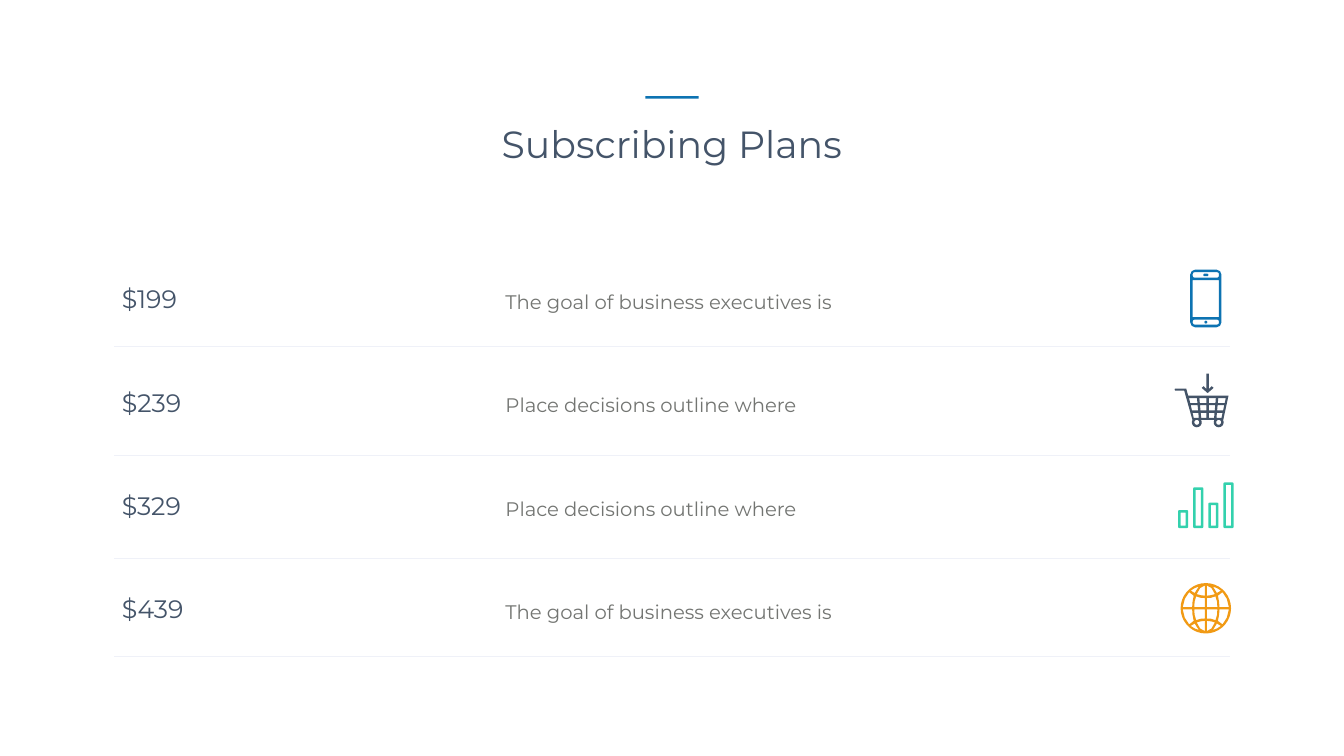
from math import cos, radians, sin

from lxml.etree import SubElement
from pptx import Presentation
from pptx.dml.color import RGBColor
from pptx.enum.shapes import MSO_CONNECTOR, MSO_SHAPE
from pptx.enum.text import MSO_AUTO_SIZE, PP_ALIGN
from pptx.oxml.ns import qn
from pptx.util import Pt

NAVY = RGBColor(0x44, 0x54, 0x69)
SLATE = RGBColor(0x44, 0x54, 0x68)
GRAY = RGBColor(0x73, 0x75, 0x72)
RULE = RGBColor(0xEF, 0xF1, 0xF8)
BLUE = RGBColor(0x0D, 0x73, 0xB2)
TEAL = RGBColor(0x33, 0xD1, 0xAD)
ORANGE = RGBColor(0xF1, 0x9A, 0x14)
FONT = "Montserrat"

TITLE = "Subscribing Plans"
PLANS = [
    ("$199", "The goal of business executives is", 494.6),
    ("$239", "Place decisions outline where", 650.2),
    ("$329", "Place decisions outline where", 797.8),
    ("$439", "The goal of business executives is", 937.9),
]
BAR_TOPS = [728.8, 696.2, 718.2, 689.2]
CART_HANDLE = [(13.7, 24.5), (0.7, 24.5), (0, 23.1), (0.7, 21.6),
               (16.6, 21.6), (19.4, 31.7), (77, 31.7), (69.5, 66.4)]
CART_ARROW = [(45.4, 0.4), (48.8, 0.4), (48.8, 22.3), (52.8, 18.2), (55.8, 20.6),
              (47.2, 28), (38.6, 20.6), (41.6, 18.2), (45.4, 22.3)]
CART_WHEELS = [63, 31.7]
CART_ROWS = [(35.3, 42.5), (45.4, 52.6), (56.2, 63.4)]
CART_BARS = [(18.5, 26), (33.5, 36.4), (47.2, 47.2), (60.8, 58), (75.2, 68.4)]
GLOBE_QUADRANT = [
    [(1.5, 1.5), (16.5, 1.5), (16, 9.5), (13.8, 17), (7.5, 15), (1.5, 14.6)],
    [(1.5, 18), (7.5, 18.7), (13, 20.2), (8, 29), (1.5, 32.5)],
    [(19.5, 1.5), (33, 1.5), (30, 13.5), (23.8, 23), (17.3, 18), (19, 9)],
    [(10, 31), (13, 26.5), (15.8, 21.8), (21.6, 25.2), (16, 28.8)],
]

SLIDE_W, SLIDE_H = 1919.52, 1080
ROW_PITCH = 147.5
RULE_LEFT, RULE_RIGHT = 163.4, 1756.1

deck = Presentation()
deck.slide_width, deck.slide_height = Pt(SLIDE_W), Pt(SLIDE_H)
slide = deck.slides.add_slide(deck.slide_layouts[6])
shapes = slide.shapes


def add_text(text, left, top, width, height, size, color,
             align=PP_ALIGN.LEFT, inset=(7.2, 3.6), spacing=1.0):
    box = shapes.add_textbox(Pt(left), Pt(top), Pt(width), Pt(height))
    frame = box.text_frame
    frame.word_wrap = True
    frame.auto_size = MSO_AUTO_SIZE.SHAPE_TO_FIT_TEXT
    frame.margin_left = frame.margin_right = Pt(inset[0])
    frame.margin_top = frame.margin_bottom = Pt(inset[1])
    paragraph = frame.paragraphs[0]
    paragraph.alignment = align
    paragraph.line_spacing = spacing
    run = paragraph.add_run()
    run.text = text
    run.font.name, run.font.size = FONT, Pt(size)
    run.font.color.rgb = color


def add_rule(y):
    rule = shapes.add_connector(MSO_CONNECTOR.STRAIGHT, Pt(RULE_LEFT), Pt(y),
                                Pt(RULE_RIGHT), Pt(y))
    rule.line.color.rgb = RULE
    rule.line.width = Pt(0.5)
    SubElement(rule._element.spPr, qn("a:effectLst"))


def paint(solid, color):
    solid.shadow.inherit = False
    solid.fill.solid()
    solid.fill.fore_color.rgb = color
    solid.line.fill.background()


def add_icon(contours, left, top, color):
    placed = [[(Pt(left + x), Pt(top + y)) for x, y in contour] for contour in contours]
    builder = shapes.build_freeform(*placed[0][0], scale=1.0)
    for index, contour in enumerate(placed):
        if index:
            builder.move_to(*contour[0])
        builder.add_line_segments(contour[1:], close=True)
    paint(builder.convert_to_shape(), color)


def box_contour(left, top, right, bottom, cut=0):
    if not cut:
        return [(left, top), (right, top), (right, bottom), (left, bottom)]
    near = 0.3 * cut
    corners = [(left, top, 1, 1), (right, top, -1, 1),
               (right, bottom, -1, -1), (left, bottom, 1, -1)]
    contour = []
    for x, y, dx, dy in corners:
        bend = [(x, y + dy * cut), (x + dx * near, y + dy * near), (x + dx * cut, y)]
        contour += bend if dx == dy else bend[::-1]
    return contour


def arc(x, y, radius, start=0, end=360, steps=12):
    angles = [radians(start + (end - start) * step / steps) for step in range(steps + 1)]
    return [(x + radius * cos(angle), y + radius * sin(angle)) for angle in angles]


def phone():
    return [box_contour(0, 0, 44.6, 82.4, 7),
            box_contour(3.6, 3.6, 41, 11.5, 2.5), box_contour(3.6, 15.1, 41, 67.7),
            box_contour(3.6, 71.3, 41, 78.5, 2.5), box_contour(18.7, 5.8, 25.9, 9.4, 1.5),
            arc(22.3, 75, 2.1, steps=8)]


def cart():
    body = CART_HANDLE + [point for x in CART_WHEELS
                          for point in arc(x, 69.8, 7.1, -29, 209, 10)]
    contours = [body, CART_ARROW] + [arc(x, 69.8, 3.6) for x in CART_WHEELS]

    def bar_x(bar, y):
        return bar[0] + (bar[1] - bar[0]) * (y - 33.5) / 31.3

    for top, bottom in CART_ROWS:
        for before, after in zip(CART_BARS, CART_BARS[1:]):
            contours.append([(bar_x(before, top) + 1.7, top), (bar_x(after, top) - 1.7, top),
                             (bar_x(after, bottom) - 1.7, bottom),
                             (bar_x(before, bottom) + 1.7, bottom)])
    return contours


def bars():
    contours = []
    for index, top in enumerate(BAR_TOPS):
        left = 21.6 * index
        contours += [box_contour(left, top, left + 14.4, 754.4, 1.6),
                     box_contour(left + 3.6, top + 3.6, left + 10.8, 750.8)]
    return contours


def globe():
    cells = [[(side * x, half * y) for x, y in cell] for side in (-1, 1)
             for half in (-1, 1) for cell in GLOBE_QUADRANT]
    return [arc(0, 0, 36, steps=36)] + cells


add_text(TITLE, 663.1, 168.5, 592.6, 72.7, 54, NAVY, PP_ALIGN.CENTER)
accent = shapes.add_shape(MSO_SHAPE.RECTANGLE, Pt(921.6), Pt(137.3), Pt(76.3), Pt(3.6))
paint(accent, BLUE)

for row, (price, detail, rule_y) in enumerate(PLANS):
    offset = ROW_PITCH * row
    add_text(price, 167, 401.7 + offset, 286, 51.1, 36, NAVY)
    add_text(detail, 704.7, 398.9 + offset, 686.2, 54.7, 28, GRAY,
             inset=(17.3, 8.6), spacing=1.2)
    add_rule(rule_y)

add_icon(phone(), 1699.9, 385.2, BLUE)
add_icon(cart(), 1677.6, 533.5, SLATE)
add_icon(bars(), 1682.6, 0, TEAL)
add_icon(globe(), 1722.2, 869, ORANGE)

deck.save("out.pptx")
